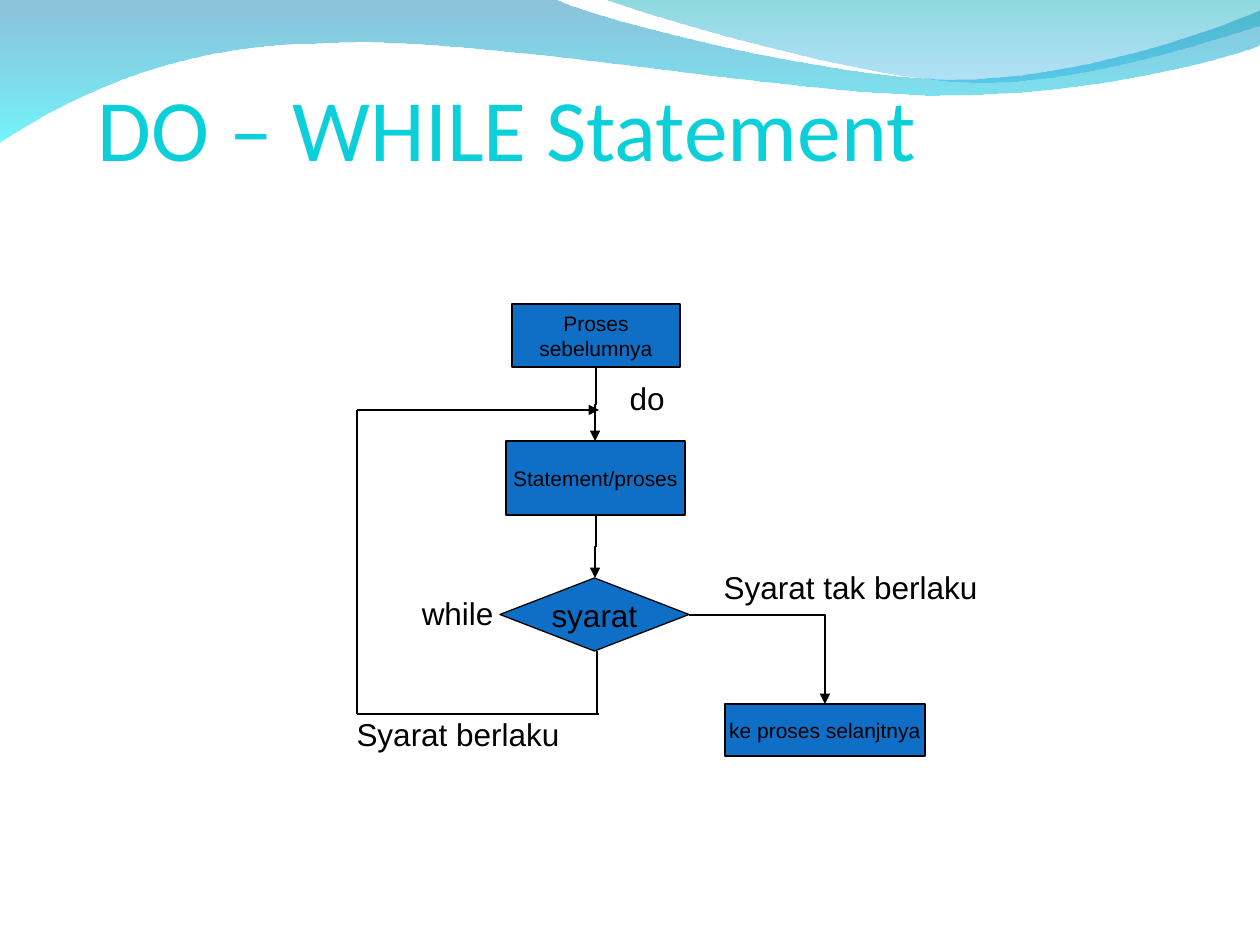
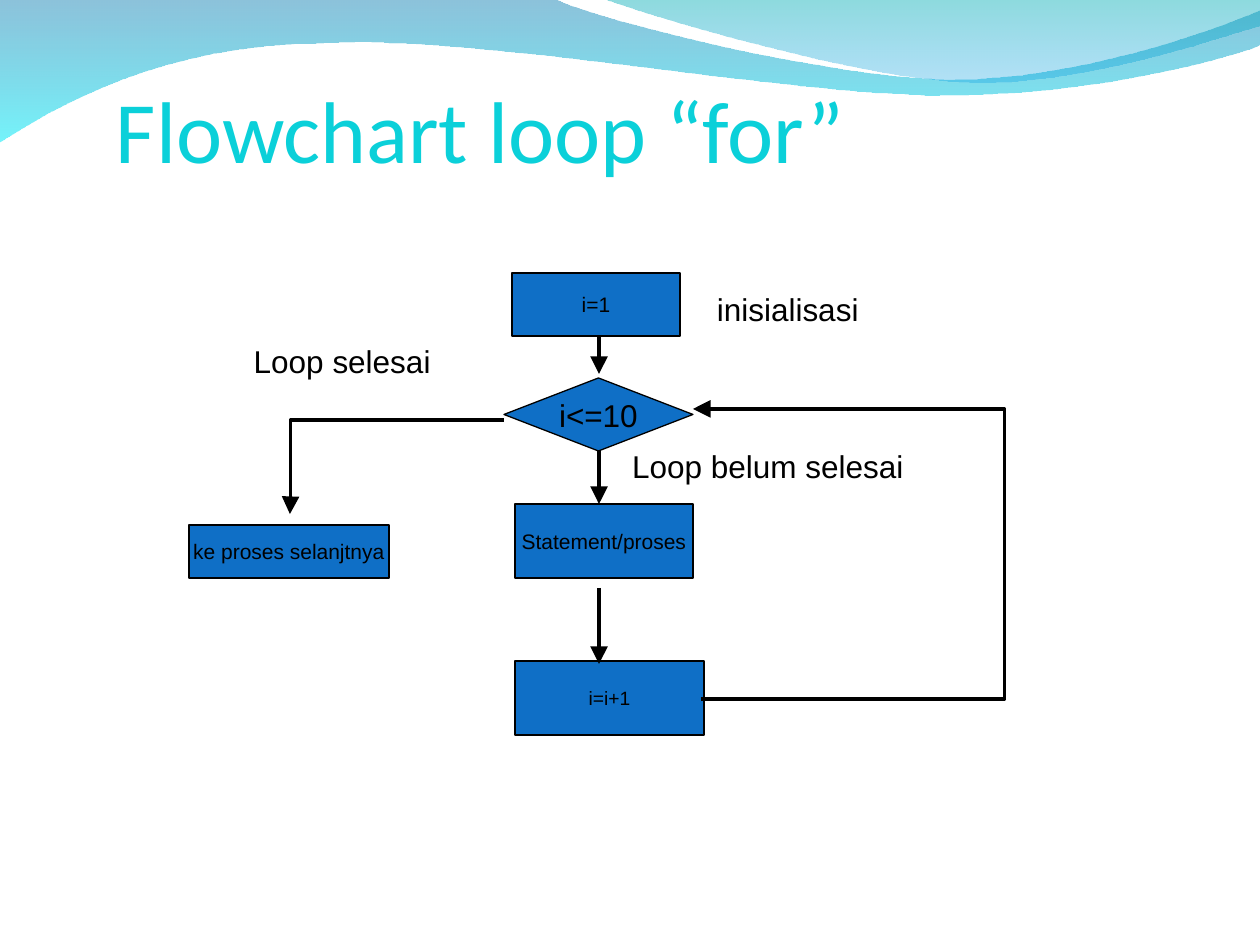
"""Build two loop flowchart slides under a shared wave header."""
import dataclasses

import lxml.etree
import pptx
import pptx.dml.color
import pptx.enum.shapes
import pptx.enum.text
import pptx.oxml.ns
import pptx.util

EMU_PER_PX = 914400 / 126
PROCESS = pptx.enum.shapes.MSO_SHAPE.FLOWCHART_PROCESS
DECISION = pptx.enum.shapes.MSO_SHAPE.FLOWCHART_DECISION
ALIGN = pptx.enum.text.PP_ALIGN
ANCHOR = pptx.enum.text.MSO_ANCHOR


@dataclasses.dataclass(frozen=True)
class Theme:
    title_color: str = "0BD0D9"
    box_color: str = "0F6FC6"
    ink: str = "000000"
    wide_wave: tuple = (("0079AF", 45), ("00EBF8", 55))
    right_wave: tuple = (("00ADB6", 45), ("009BE5", 30))
    title_font: str = "Calibri"
    body_font: str = "Arial"
    title_size: int = 50
    label_size: int = 18
    process_size: int = 12
    step_size: int = 11
    thin: float = 0.75
    thick: float = 2


THEME = Theme()
WIDE_WAVE = [
    [(0, -1)], [(554, -1)],
    [(600, 21), (837, 79), (955, 79)], [(1075, 79), (1207, 33), (1260, 11)],
    [(1261, 45)],
    [(1239, 55), (1096, 96), (940, 95)], [(784, 95), (481, 35), (324, 43)],
    [(163, 44), (58, 105), (-1, 142)],
]
RIGHT_WAVE = [
    [(604, -1)],
    [(641, 14), (859, 78), (969, 82)], [(1079, 86), (1211, 40), (1260, 26)],
    [(1260, 0)],
]


def px(length):
    return round(length * EMU_PER_PX)


def rgb(color):
    return pptx.dml.color.RGBColor.from_string(color)


def child(parent, tag, **attributes):
    return lxml.etree.SubElement(parent, pptx.oxml.ns.qn(tag), **attributes)


def add_curved_outline(slide, segments):
    """Add a closed outline; segments of three points become cubic curves."""
    points = [(px(x), px(y)) for segment in segments for x, y in segment]
    builder = slide.shapes.build_freeform(*points[0])
    builder.add_line_segments(points[1:], close=True)
    shape = builder.convert_to_shape()
    steps = iter(list(shape.element.spPr.iter(pptx.oxml.ns.qn("a:lnTo"))))
    for segment in segments[1:]:
        first, *others = [next(steps) for point in segment]
        if others:
            first.tag = pptx.oxml.ns.qn("a:cubicBezTo")
        for other in others:
            first.append(other[0])
            other.getparent().remove(other)
    return shape


def add_wave(slide, segments, gradient):
    shape = add_curved_outline(slide, segments)
    shape.shadow.inherit = False
    shape.line.fill.background()
    shape.fill.gradient()
    shape.fill.gradient_angle = 270
    for stop, (color, opacity) in zip(shape.fill.gradient_stops, gradient):
        stop.color.rgb = rgb(color)
    for element, (color, opacity) in zip(
            shape.element.spPr.iter(pptx.oxml.ns.qn("a:srgbClr")), gradient):
        child(element, "a:alpha", val=str(opacity * 1000))


def write_text(shape, lines, size, align, anchor, font=THEME.body_font, color=THEME.ink):
    frame = shape.text_frame
    frame.word_wrap = False
    frame.vertical_anchor = anchor
    for index, line in enumerate(lines):
        paragraph = frame.add_paragraph() if index else frame.paragraphs[0]
        paragraph.alignment = align
        run = paragraph.add_run()
        run.text = line
        run.font.name = font
        run.font.size = pptx.util.Pt(size)
        run.font.color.rgb = rgb(color)
    return frame


def add_title(slide, text, left, top, width, height):
    shape = slide.shapes.add_textbox(px(left), px(top), px(width), px(height))
    frame = write_text(shape, [text], THEME.title_size, ALIGN.LEFT, ANCHOR.BOTTOM,
                       THEME.title_font, THEME.title_color)
    frame.word_wrap = True
    frame.margin_left = frame.margin_right = frame.margin_bottom = 0


def add_box(slide, lines, left, top, width, height, size=THEME.process_size, kind=PROCESS):
    shape = slide.shapes.add_shape(kind, px(left), px(top), px(width), px(height))
    shape.shadow.inherit = False
    shape.fill.solid()
    shape.fill.fore_color.rgb = rgb(THEME.box_color)
    shape.line.color.rgb = rgb(THEME.ink)
    shape.line.width = pptx.util.Pt(THEME.thin)
    write_text(shape, lines, size, ALIGN.CENTER, ANCHOR.MIDDLE)


def add_decision(slide, text, left, top):
    add_box(slide, [text], left, top, 189, 73, THEME.label_size, DECISION)


def add_label(slide, text, left, top, width):
    shape = slide.shapes.add_textbox(px(left), px(top), px(width), px(50))
    frame = write_text(shape, [text], THEME.label_size, ALIGN.RIGHT, ANCHOR.TOP)
    frame.auto_size = pptx.enum.text.MSO_AUTO_SIZE.SHAPE_TO_FIT_TEXT


def add_line(slide, start, end, weight, arrow=True,
             kind=pptx.enum.shapes.MSO_CONNECTOR.STRAIGHT):
    connector = slide.shapes.add_connector(kind, *map(px, (*start, *end)))
    connector.line.color.rgb = rgb(THEME.ink)
    connector.line.width = pptx.util.Pt(weight)
    if arrow:
        head = "lg" if weight == THEME.thick else "med"
        outline = connector.element.spPr.find(pptx.oxml.ns.qn("a:ln"))
        child(outline, "a:tailEnd", type="triangle", w=head, len=head)
    child(connector.element.spPr, "a:effectLst")
    return connector


def add_elbow(slide, start, end, weight, bend=None, preset="bentConnector3", turn=0):
    """Add a bent arrow; bend is a share of its width, turn is in degrees."""
    connector = add_line(slide, start, end, weight,
                         kind=pptx.enum.shapes.MSO_CONNECTOR.ELBOW)
    properties = connector.element.spPr
    geometry = properties.find(pptx.oxml.ns.qn("a:prstGeom"))
    geometry.set("prst", preset)
    if turn:
        properties.find(pptx.oxml.ns.qn("a:xfrm")).set("rot", str(turn * 60000))
    if bend is not None:
        guides = geometry.find(pptx.oxml.ns.qn("a:avLst"))
        child(guides, "a:gd", name="adj1", fmla=f"val {round(bend * 100000)}")


def add_base_slide(presentation):
    slide = presentation.slides.add_slide(presentation.slide_layouts[6])
    add_wave(slide, WIDE_WAVE, THEME.wide_wave)
    add_wave(slide, RIGHT_WAVE, THEME.right_wave)
    return slide


def build_do_while(presentation):
    slide = add_base_slide(presentation)
    add_box(slide, ["Proses", "sebelumnya"], 512, 304, 168, 63)
    add_decision(slide, "syarat", 500, 578)
    add_box(slide, ["Statement/proses"], 506, 441, 179, 74)
    add_box(slide, ["ke proses selanjtnya"], 725, 704, 200, 52)
    add_elbow(slide, (559, 404), (632, 405), THEME.thin, turn=90)
    add_elbow(slide, (564, 546), (627, 547), THEME.thin, turn=90)
    add_line(slide, (597, 651), (597, 714), THEME.thin, arrow=False)
    loop_back = [(599, 714), (357, 714), (357, 410), (599, 410)]
    for index, (start, end) in enumerate(zip(loop_back, loop_back[1:])):
        add_line(slide, start, end, THEME.thin, arrow=index == 2)
    add_elbow(slide, (689, 615), (825, 704), THEME.thin, preset="bentConnector2")
    for text, left, top, width in (
            ("do", 613, 373, 64), ("while", 405, 588, 101),
            ("Syarat berlaku", 340, 709, 232), ("Syarat tak berlaku", 706, 562, 284)):
        add_label(slide, text, left, top, width)
    add_title(slide, "DO – WHILE Statement", 98, 74, 829, 105)


def build_for_loop(presentation):
    slide = add_base_slide(presentation)
    add_title(slide, "Flowchart loop “for”", 116, 66, 850, 115)
    add_box(slide, ["i=1"], 512, 273, 168, 63)
    add_decision(slide, "i<=10", 504, 378)
    add_box(slide, ["Statement/proses"], 515, 504, 178, 74)
    add_box(slide, ["i=i+1"], 515, 661, 189, 74, THEME.step_size)
    add_box(slide, ["ke proses selanjtnya"], 189, 525, 200, 53)
    add_elbow(slide, (701, 699), (693, 409), THEME.thick, bend=-38)
    for text, left, top, width in (
            ("Loop belum selesai", 614, 441, 302), ("Loop selesai", 236, 336, 207),
            ("inisialisasi", 700, 284, 171)):
        add_label(slide, text, left, top, width)
    for top, bottom in ((451, 504), (336, 374), (588, 664)):
        add_line(slide, (599, top), (599, bottom), THEME.thick)
    add_elbow(slide, (504, 420), (290, 514), THEME.thick, bend=0.997)


def main():
    presentation = pptx.Presentation()
    presentation.slide_width = px(1260)
    presentation.slide_height = px(945)
    build_do_while(presentation)
    build_for_loop(presentation)
    presentation.save("out.pptx")


if __name__ == "__main__":
    main()
